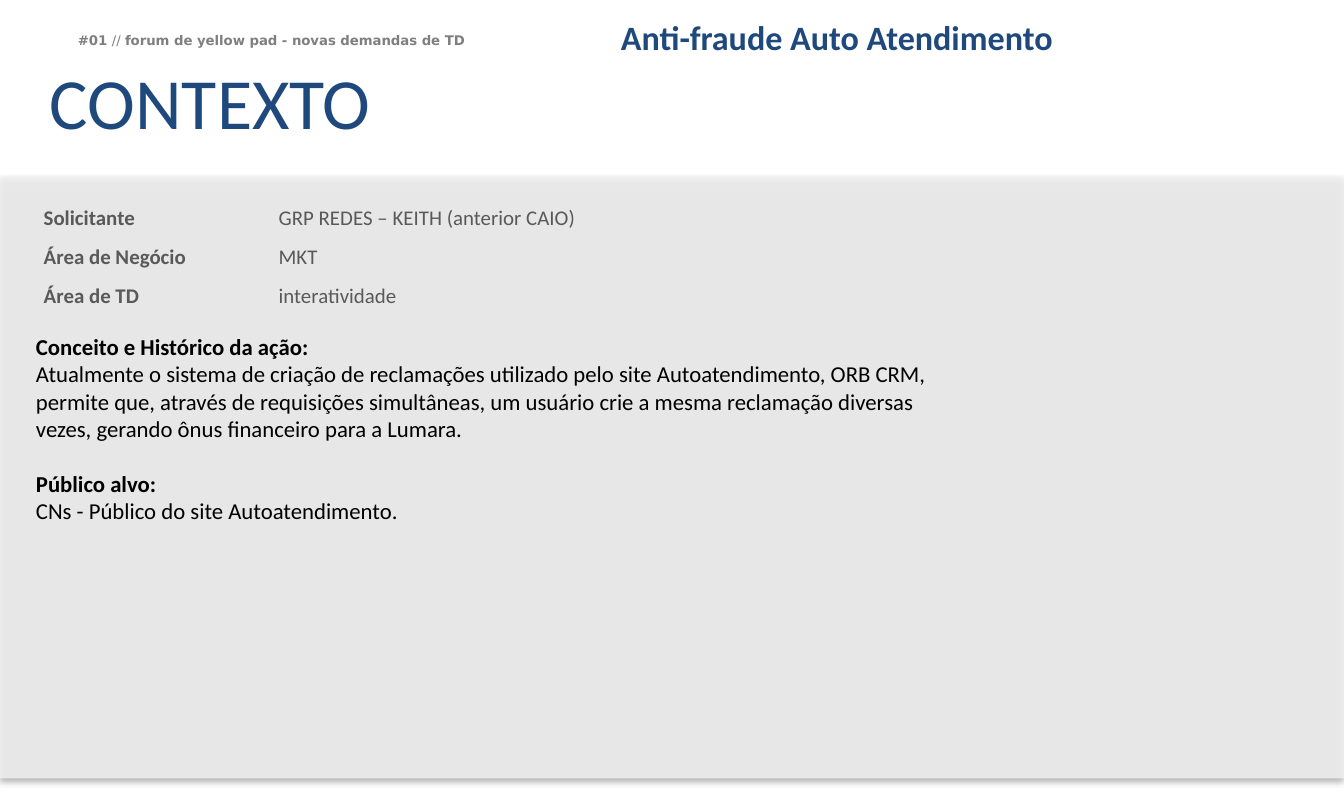
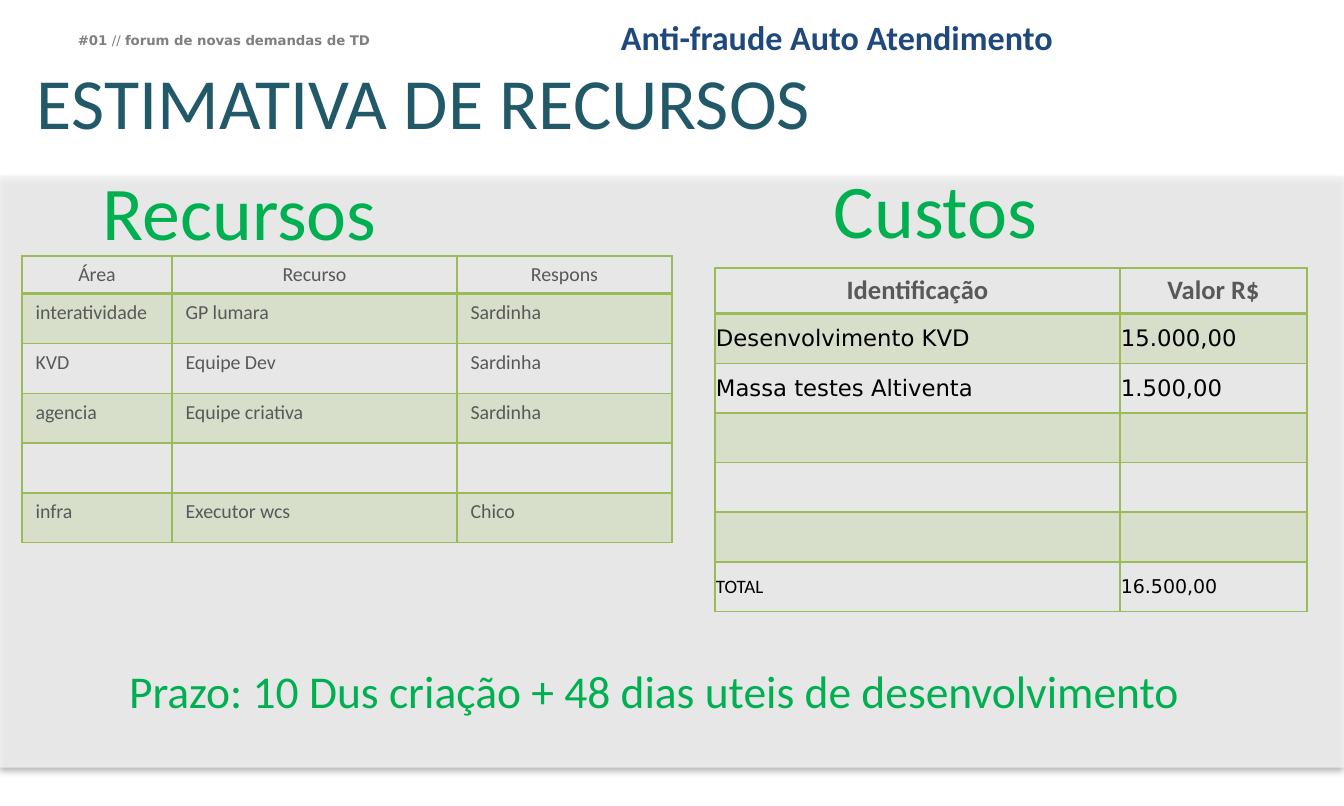
"""Build two project request slides: context, and resource estimate."""
import pptx
import pptx.dml.color
import pptx.enum.shapes
import pptx.enum.text
import pptx.oxml
import pptx.oxml.ns
import pptx.util

ANCHOR = pptx.enum.text.MSO_ANCHOR
ALIGN = pptx.enum.text.PP_ALIGN
SLIDE_WIDTH, SLIDE_HEIGHT = pptx.util.Cm(25), pptx.util.Cm(15)
WIDTH = 1344
SCALE = SLIDE_WIDTH / WIDTH
COLORS = {
    "band": "F2F2F2", "shadow": "000000", "navy": "1F497D", "teal": "215968",
    "green": "00B050", "olive": "9BBB59", "gray": "595959", "header": "7F7F7F",
    "black": "000000",
}
SANS, WIDE = "Calibri", "DejaVu Sans"
NO_STYLE = "{2D5ABB26-0587-4C30-8999-92F81FD0307C}"
TOPIC = "Anti-fraude Auto Atendimento"

CONTEXT = {
    "title": "CONTEXTO", "title_color": "navy", "title_box": (50, 81, 497, 63),
    "header": "forum de yellow pad - novas demandas de TD", "band_height": 602,
}
ESTIMATE = {
    "title": "ESTIMATIVA DE RECURSOS", "title_color": "teal", "title_box": (37, 81, 893, 63),
    "header": "forum de novas demandas de TD", "band_height": 591,
}
REQUEST = [
    ("Solicitante", "GRP REDES – KEITH (anterior CAIO)"),
    ("Área de Negócio", "MKT"),
    ("Área de TD", "interatividade"),
]
CONCEPT = [
    ("Conceito e Histórico da ação:", [
        "Atualmente o sistema de criação de reclamações utilizado pelo site Autoatendimento, ORB CRM,",
        "permite que, através de requisições simultâneas, um usuário crie a mesma reclamação diversas",
        "vezes, gerando ônus financeiro para a Lumara.",
    ]),
    ("Público alvo:", ["CNs - Público do site Autoatendimento."]),
]
RESOURCES = [
    ("Área", "Recurso", "Respons"),
    ("interatividade", "GP lumara", "Sardinha"),
    ("KVD", "Equipe Dev", "Sardinha"),
    ("agencia", "Equipe criativa", "Sardinha"),
    ("", "", ""),
    ("infra", "Executor wcs", "Chico"),
]
COSTS = [
    ("Identificação", "Valor R$"),
    ("Desenvolvimento KVD", "15.000,00"),
    ("Massa testes Altiventa", "1.500,00"),
    ("", ""),
    ("", ""),
    ("", ""),
    ("TOTAL", "16.500,00"),
]
HEADINGS = [
    ("Custos", (834, 180, 303, 75), 40, ALIGN.LEFT),
    ("Recursos", (103, 182, 303, 75), 40, ALIGN.LEFT),
    ("Prazo: 10 Dus criação + 48 dias uteis de desenvolvimento", (2, 674, 1304, 75), 24, ALIGN.CENTER),
]


def px(value):
    return pptx.util.Emu(round(value * SCALE))


def place(shape, box):
    shape.left, shape.top, shape.width, shape.height = map(px, box)


def rgb(name):
    return pptx.dml.color.RGBColor.from_string(COLORS[name])


def format_font(font, size, color, bold=False, name=SANS):
    font.size, font.bold, font.name = pptx.util.Pt(size), bold, name
    font.color.rgb = rgb(color)


def set_margins(target, left, top, right, bottom):
    target.margin_left, target.margin_top = px(left), px(top)
    target.margin_right, target.margin_bottom = px(right), px(bottom)


def xml(markup):
    return pptx.oxml.parse_xml(markup.replace(" ", f' {pptx.oxml.ns.nsdecls("a")} ', 1))


def set_alpha(fill_parent, percent):
    color = fill_parent.find(f'{pptx.oxml.ns.qn("a:solidFill")}/{pptx.oxml.ns.qn("a:srgbClr")}')
    color.append(xml(f'<a:alpha val="{percent * 1000}"/>'))


def add_text(slide, box, margins):
    shape = slide.shapes.add_textbox(*map(px, box))
    frame = shape.text_frame
    frame.word_wrap = True
    set_margins(frame, *margins)
    return frame


def write_line(frame, text, size, color, spacing, bold=False, align=ALIGN.LEFT):
    frame.text = text
    paragraph = frame.paragraphs[0]
    paragraph.line_spacing, paragraph.alignment = spacing, align
    format_font(paragraph.runs[0].font, size, color, bold)


def add_band(slide, height):
    band = slide.shapes.add_shape(
        pptx.enum.shapes.MSO_SHAPE.RECTANGLE, *map(px, (0, 177, WIDTH, height)))
    band.fill.solid()
    band.fill.fore_color.rgb = rgb("band")
    band.line.fill.background()
    band.shadow.inherit = False
    properties = band._element.spPr
    set_alpha(properties, 83)
    properties.find(pptx.oxml.ns.qn("a:effectLst")).append(xml(
        '<a:outerShdw blurRad="39370" dist="22860" dir="5400000" rotWithShape="0">'
        f'<a:srgbClr val="{COLORS["shadow"]}"><a:alpha val="35000"/></a:srgbClr></a:outerShdw>'))


def add_base(presentation, content):
    slide = presentation.slides.add_slide(presentation.slide_layouts[5])
    add_band(slide, content["band_height"])
    title = slide.shapes.title
    place(title, content["title_box"])
    frame = title.text_frame
    set_margins(frame, 0, 0, 0, 0)
    frame.vertical_anchor = ANCHOR.TOP
    frame.auto_size = pptx.enum.text.MSO_AUTO_SIZE.NONE
    write_line(frame, content["title"], 38, content["title_color"], 0.7)
    header = add_text(slide, (66, 26, 419, 29), (12, 6, 12, 6)).paragraphs[0]
    for text, bold in (("#01 ", True), ("// ", False), (content["header"], True)):
        run = header.add_run()
        run.text = text
        format_font(run.font, 7, "header", bold, WIDE)
    write_line(add_text(slide, (607, 16, 619, 49), (14, 7, 14, 7)), TOPIC, 18, "navy", 0.85, True)
    return slide


def add_grid(slide, origin, rows, widths, heights):
    frame = slide.shapes.add_table(
        len(rows), len(widths), *map(px, (*origin, sum(widths), sum(heights))))
    table = frame.table
    table.first_row = table.horz_banding = False
    table._tbl.tblPr.find(pptx.oxml.ns.qn("a:tableStyleId")).text = NO_STYLE
    for column, width in zip(table.columns, widths):
        column.width = px(width)
    for row, height in zip(table.rows, heights):
        row.height = px(height)
    for row, texts in zip(table.rows, rows):
        for cell, text in zip(row.cells, texts):
            cell.text = text
            cell.fill.background()
    return table


def format_cell(cell, size, color, bold=False, name=SANS):
    paragraph = cell.text_frame.paragraphs[0]
    for run in paragraph.runs:
        format_font(run.font, size, color, bold, name)
    if not paragraph.runs:
        paragraph._p.append(xml(f'<a:endParaRPr sz="{size * 100:.0f}"/>'))


def add_ruled_grid(slide, origin, rows, widths, header_height, body_height):
    count = len(rows) - 1
    heights = [header_height] + [body_height / count] * count
    table = add_grid(slide, origin, rows, widths, heights)
    for index, row in enumerate(table.rows):
        for cell in row.cells:
            if index == 0:
                cell.text_frame.paragraphs[0].alignment = ALIGN.CENTER
            properties = cell._tc.get_or_add_tcPr()
            if index % 2:
                cell.fill.solid()
                cell.fill.fore_color.rgb = rgb("olive")
                set_alpha(properties, 20)
            for position, side in enumerate("LRTB"):
                heavy = index == 0 and side == "B"
                properties.insert(position, xml(
                    f'<a:ln{side} w="{25400 if heavy else 12700}"><a:solidFill>'
                    f'<a:srgbClr val="{COLORS["olive"]}"/></a:solidFill></a:ln{side}>'))
    return table


def build_context(presentation):
    slide = add_base(presentation, CONTEXT)
    frame = add_text(slide, (27, 327, 1266, 296), (9, 6, 9, 6))
    lines = [(text, not index, section)
             for section, (heading, body) in enumerate(CONCEPT)
             for index, text in enumerate([heading, *body])]
    frame.text = "\n".join(text for text, _, _ in lines)
    for paragraph, (_, bold, section) in zip(frame.paragraphs, lines):
        format_font(paragraph.runs[0].font, 12, "black", bold)
        if bold and section:
            paragraph.space_before = pptx.util.Pt(14.4)
    table = add_grid(slide, (30, 199), REQUEST, (235, 429), [39] * len(REQUEST))
    for row in table.rows:
        for index, cell in enumerate(row.cells):
            cell.vertical_anchor = ANCHOR.MIDDLE
            format_cell(cell, 11, "gray", index == 0)


def build_estimate(presentation):
    slide = add_base(presentation, ESTIMATE)
    costs = add_ruled_grid(slide, (715, 268), COSTS, (405, 187), 46, 298)
    total = len(COSTS) - 1
    for index, row in enumerate(costs.rows):
        for column, cell in enumerate(row.cells):
            if index == 0:
                format_cell(cell, 14, "gray", True)
                continue
            cell.vertical_anchor = ANCHOR.MIDDLE
            set_margins(cell, 1, 1, 1, 0)
            name = SANS if (index, column) == (total, 0) else WIDE
            format_cell(cell, 10 if index == total else 12, "black", name=name)
    resources = add_ruled_grid(slide, (22, 256), RESOURCES, (150, 285, 215), 38, 249)
    for cell in resources.iter_cells():
        format_cell(cell, 10.5, "gray")
    for text, box, size, align in HEADINGS:
        write_line(add_text(slide, box, (0, 0, 0, 0)), text, size, "green", 0.8, align=align)


def main():
    presentation = pptx.Presentation()
    presentation.slide_width, presentation.slide_height = SLIDE_WIDTH, SLIDE_HEIGHT
    build_context(presentation)
    build_estimate(presentation)
    presentation.save("out.pptx")


if __name__ == "__main__":
    main()
